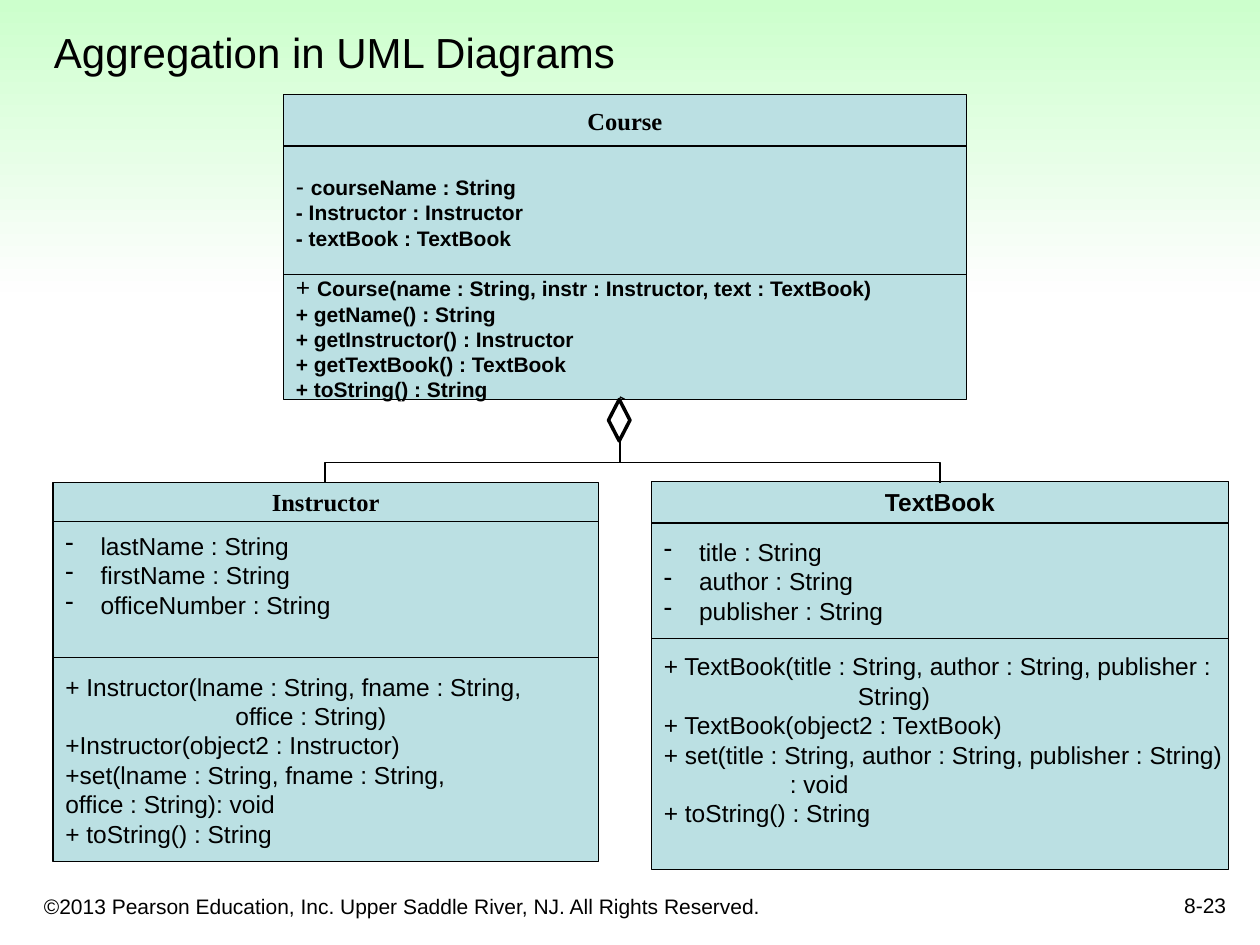
from dataclasses import dataclass

from lxml.etree import SubElement
from pptx import Presentation
from pptx.dml.color import RGBColor
from pptx.enum.shapes import MSO_CONNECTOR, MSO_SHAPE
from pptx.enum.text import MSO_ANCHOR, PP_ALIGN
from pptx.oxml.ns import qn
from pptx.util import Inches, Pt

BLACK = RGBColor(0x00, 0x00, 0x00)
TEAL = RGBColor(0xBB, 0xE0, 0xE3)
GREEN = RGBColor(0xCC, 0xFF, 0xCC)
WHITE = RGBColor(0xFE, 0xFE, 0xFE)

BASE = {"name": "Arial", "size": Pt(14), "bold": False}
SMALL = BASE | {"size": Pt(12)}
BOLD = SMALL | {"bold": True}
HEAD = BASE | {"bold": True}
SERIF = HEAD | {"name": "Times New Roman"}
TITLE = BASE | {"size": Pt(24)}


@dataclass
class Row:
    text: str
    indent: float = 0
    lead: str = ""
    bullet: bool = False


@dataclass
class Block:
    height: float
    rows: list[Row]
    style: dict
    align: PP_ALIGN = PP_ALIGN.LEFT
    foot: float = 0.05


@dataclass
class Card:
    left: float
    top: float
    width: float
    blocks: list[Block]


@dataclass
class Label:
    text: str
    box: tuple[float, float, float, float]
    style: dict
    align: PP_ALIGN = PP_ALIGN.LEFT


def items(*texts: str) -> list[Row]:
    return [Row(text, 0.28, bullet=True) for text in texts]


CARDS = [
    Card(2.25, 0.75, 5.42, [
        Block(0.41, [Row("Course")], SERIF, PP_ALIGN.CENTER),
        Block(1.02, [
            Row("courseName : String", lead="- "),
            Row("- Instructor : Instructor"),
            Row("- textBook : TextBook"),
        ], BOLD),
        Block(0.99, [
            Row("Course(name : String, instr : Instructor, text : TextBook)", lead="+ "),
            Row("+ getName() : String"),
            Row("+ getInstructor() : Instructor"),
            Row("+ getTextBook() : TextBook"),
            Row("+ toString() : String"),
        ], BOLD),
    ]),
    Card(5.17, 3.82, 4.58, [
        Block(0.33, [Row("TextBook")], HEAD, PP_ALIGN.CENTER),
        Block(0.92, items("title : String", "author : String", "publisher : String"), BASE),
        Block(1.83, [
            Row("+ TextBook(title : String, author : String, publisher :"),
            Row("String)", 1.54),
            Row("+ TextBook(object2 : TextBook)"),
            Row("+ set(title : String, author : String, publisher : String)"),
            Row(": void", 1),
            Row("+ toString() : String"),
        ], BASE, foot=0.28),
    ]),
    Card(0.42, 3.83, 4.33, [
        Block(0.31, [Row("Instructor")], SERIF, PP_ALIGN.CENTER),
        Block(1.08, items("lastName : String", "firstName : String",
                          "officeNumber : String"), BASE, foot=0.28),
        Block(1.62, [
            Row("+ Instructor(lname : String, fname : String,"),
            Row("office : String)", 1.35),
            Row("+Instructor(object2 : Instructor)"),
            Row("+set(lname : String, fname : String,"),
            Row("office : String): void"),
            Row("+ toString() : String"),
        ], BASE),
    ]),
]

LABELS = [
    Label("©2013 Pearson Education, Inc. Upper Saddle River, NJ. All Rights Reserved.",
          (0.25, 6.92, 6.08, 0.42), SMALL),
    Label("8-23", (7.75, 6.83, 2.08, 0.5), SMALL, PP_ALIGN.RIGHT),
    Label("Aggregation in UML Diagrams", (0.33, 0.08, 9.42, 0.58), TITLE),
]


def add_run(para, text: str, style: dict) -> None:
    run = para.add_run()
    run.text = text
    for key, value in style.items():
        setattr(run.font, key, value)
    run.font.color.rgb = BLACK


def add_row(para, row: Row, style: dict) -> None:
    props = para._p.get_or_add_pPr()
    if row.indent:
        props.set("marL", str(Inches(row.indent)))
    if row.bullet:
        props.set("indent", str(-Inches(row.indent)))
        SubElement(props, qn("a:buChar")).set("char", "-")
    if row.lead:
        add_run(para, row.lead, BASE)
    add_run(para, row.text, style)


def add_block(shapes, block: Block, left: float, top: float, width: float) -> None:
    box = shapes.add_shape(MSO_SHAPE.RECTANGLE, Inches(left), Inches(top),
                           Inches(width), Inches(block.height))
    box.shadow.inherit = False
    box.fill.solid()
    box.fill.fore_color.rgb = TEAL
    set_line(box.line, 0.75)
    frame = box.text_frame
    form = {"word_wrap": False, "vertical_anchor": MSO_ANCHOR.MIDDLE,
            "margin_bottom": Inches(block.foot)}
    for key, value in form.items():
        setattr(frame, key, value)
    for num, row in enumerate(block.rows):
        para = frame.add_paragraph() if num else frame.paragraphs[0]
        para.alignment = block.align
        add_row(para, row, block.style)


def add_card(shapes, card: Card) -> None:
    group = shapes.add_group_shape()
    top = card.top
    for block in card.blocks:
        add_block(group.shapes, block, card.left, top, card.width)
        top += block.height


def add_label(shapes, label: Label) -> None:
    frame = shapes.add_textbox(*map(Inches, label.box)).text_frame
    frame.word_wrap = True
    frame.vertical_anchor = MSO_ANCHOR.BOTTOM
    para = frame.paragraphs[0]
    para.alignment = label.align
    add_run(para, label.text, label.style)


def set_line(line, width: float) -> None:
    line.color.rgb = BLACK
    line.width = Pt(width)


def add_link(shapes, kind: MSO_CONNECTOR, *ends: float):
    link = shapes.add_connector(kind, *map(Inches, ends))
    set_line(link.line, 0.75)
    SubElement(link.element.spPr, qn("a:effectLst"))
    return link


def add_elbow(shapes, x: float, y: float, to_x: float, to_y: float) -> None:
    mid_x, mid_y = (x + to_x) / 2, (y + to_y) / 2
    half_w, half_h = (to_y - y) / 2, abs(to_x - x) / 2
    link = add_link(shapes, MSO_CONNECTOR.ELBOW, mid_x - half_w, mid_y - half_h,
                    mid_x + half_w, mid_y + half_h)
    frame = link.element.spPr.find(qn("a:xfrm"))
    right = to_x > x
    frame.set("rot", str((270 if right else 90) * 60000))
    if right:
        frame.set("flipH", "1")


def add_band(shapes) -> None:
    band = shapes.add_shape(MSO_SHAPE.RECTANGLE, 0, 0, Inches(10), Inches(2.32))
    band.shadow.inherit = False
    band.line.fill.background()
    band.fill.gradient()
    band.fill.gradient_angle = 270
    for stop, color in zip(band.fill.gradient_stops, (GREEN, WHITE)):
        stop.color.rgb = color


def main() -> None:
    deck = Presentation()
    deck.slide_width, deck.slide_height = Inches(10), Inches(7.5)
    shapes = deck.slides.add_slide(deck.slide_layouts[6]).shapes
    add_band(shapes)
    for label in LABELS:
        add_label(shapes, label)
    for card in CARDS:
        add_card(shapes, card)
    gem = shapes.add_shape(MSO_SHAPE.DIAMOND, Inches(4.83), Inches(3.17),
                           Inches(0.17), Inches(0.33))
    gem.shadow.inherit = False
    gem.fill.background()
    set_line(gem.line, 2)
    add_link(shapes, MSO_CONNECTOR.STRAIGHT, 4.96, 3.17, 4.92, 3.15)
    for x in (7.46, 2.58):
        add_elbow(shapes, 4.92, 3.51, x, 3.83)
    deck.save("out.pptx")


if __name__ == "__main__":
    main()
